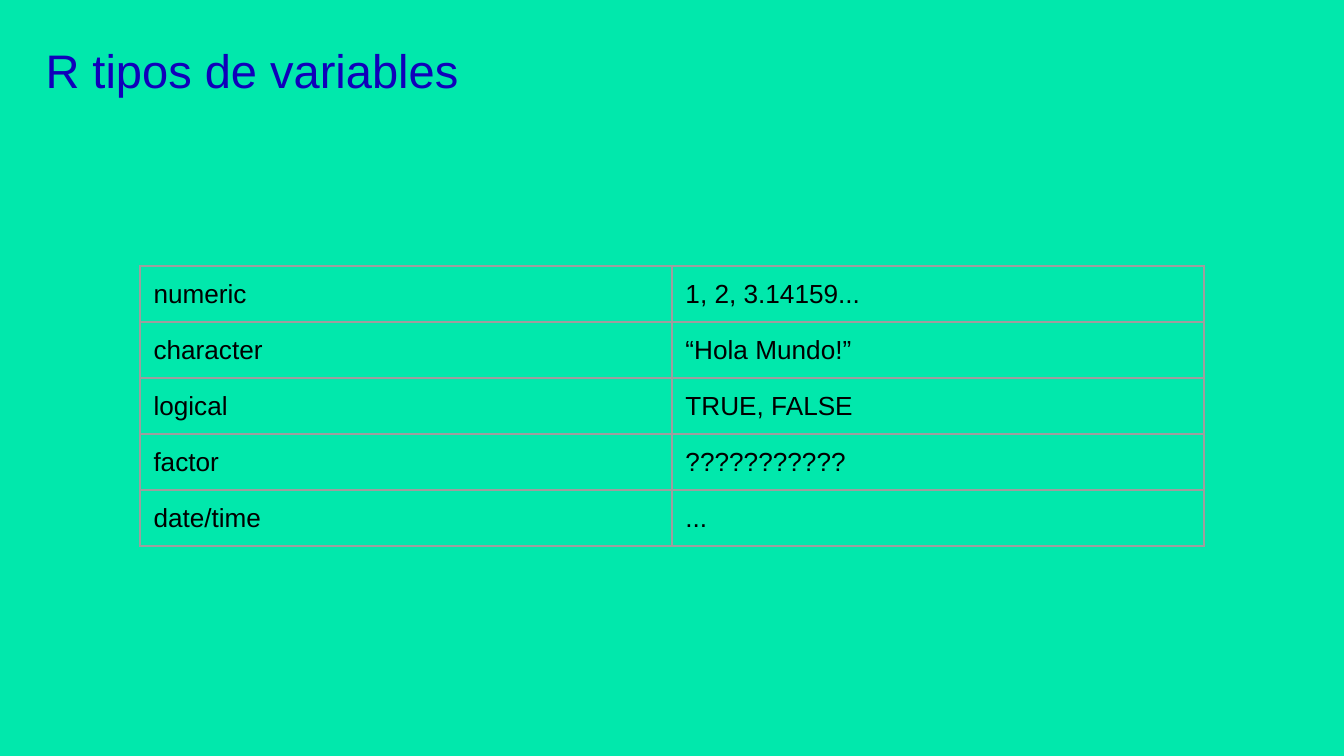
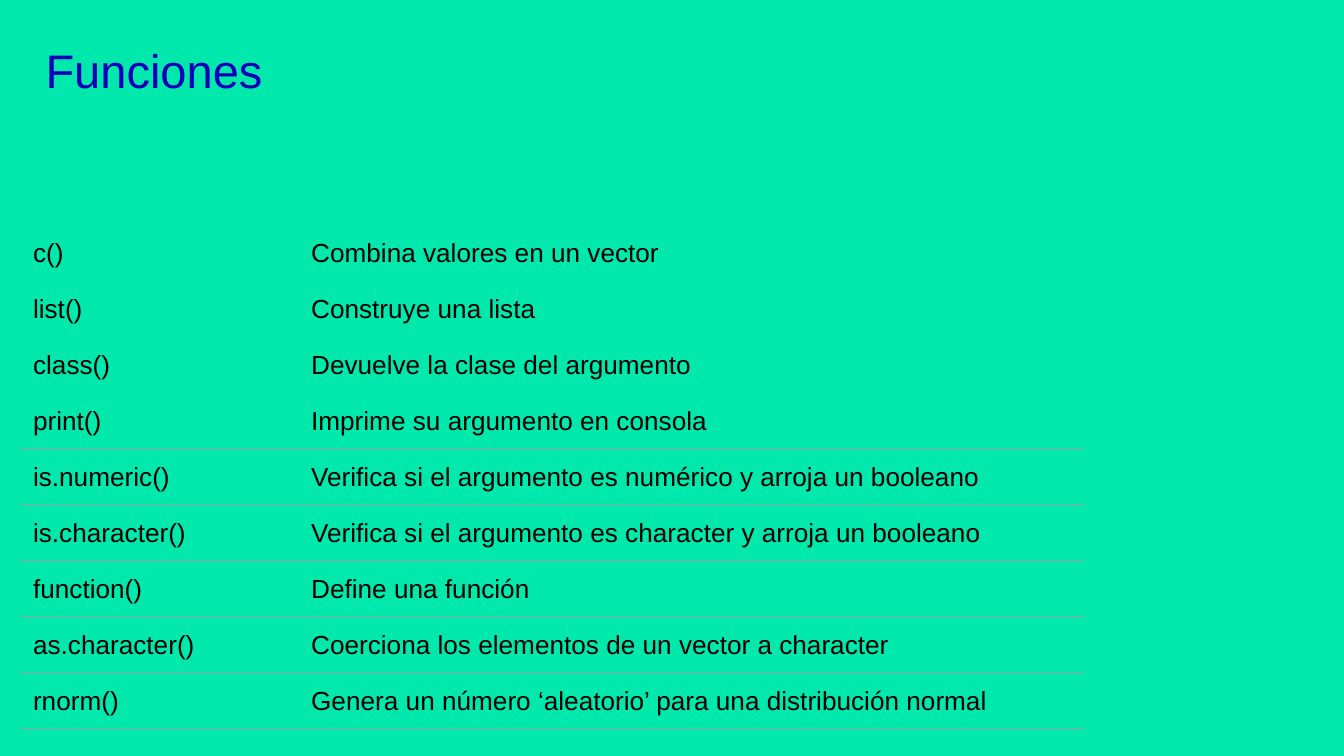
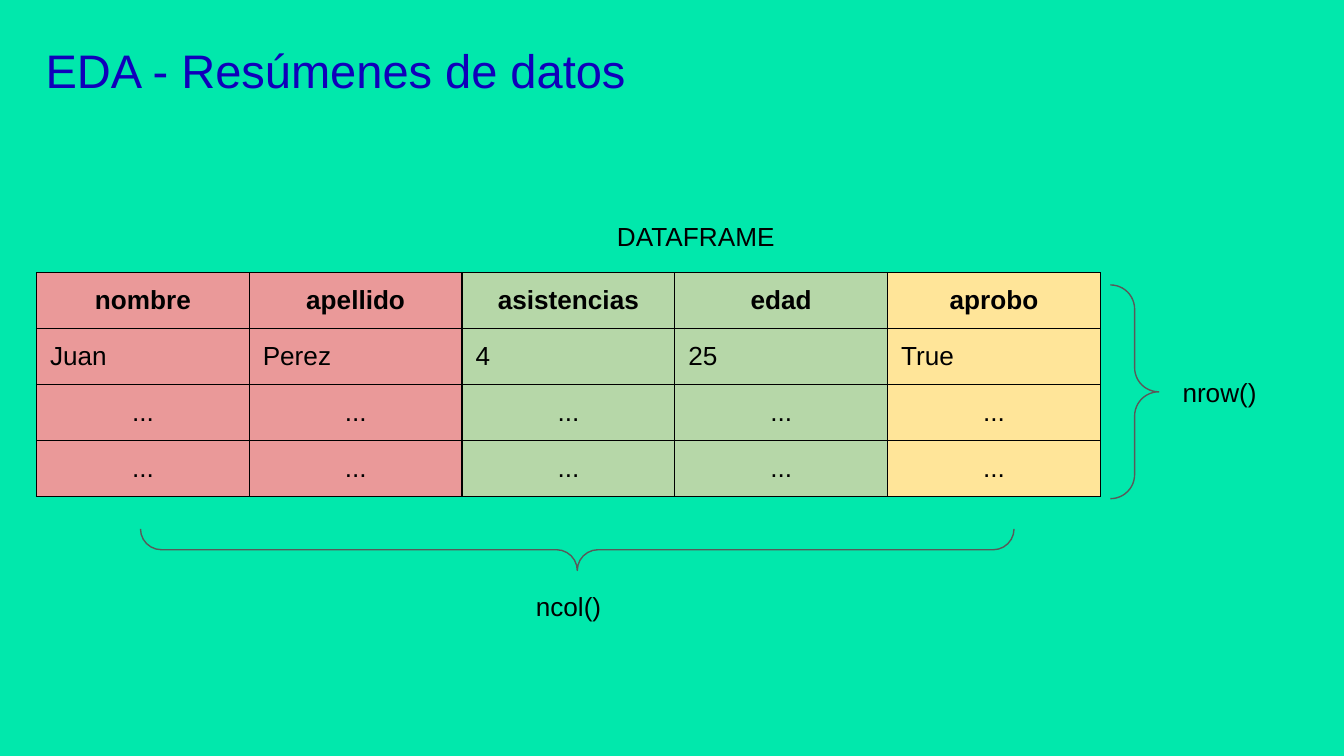
from collections import namedtuple
from lxml.etree import SubElement as Sub
from pptx import Presentation
from pptx.dml.color import RGBColor
from pptx.enum.shapes import MSO_SHAPE as Kind
from pptx.enum.text import MSO_ANCHOR as Anchor, PP_ALIGN as Align
from pptx.oxml.ns import qn
from pptx.util import Inches, Pt

Box = namedtuple("Box", "x y w h")
PAGE = Box(0, 0, Inches(10), Inches(5.625))
WIDE, ROW = 79.17, 7.41
GROUND, TITLE, INK = "01E8AC", "1000BA", "000000"
GREY, DARK = "9E9E9E", "595959"
RED, GREEN, GOLD = "EA9999", "B6D7A8", "FFE599"
BODY = {"name": "Arial", "size": Pt(14), "bold": False}
HEAD = BODY | {"size": Pt(25.2)}
INSET = {"margin_" + side: Inches(0.1) for side in ("left", "right", "top", "bottom")}
CELL = INSET | {"margin_bottom": Inches(0.08), "vertical_anchor": Anchor.TOP}
SIDES = "LRTB"

TYPES = [
    ("numeric", "1, 2, 3.14159..."),
    ("character", "“Hola Mundo!”"),
    ("logical", "TRUE, FALSE"),
    ("factor", "???????????"),
    ("date/time", "..."),
]
CALLS = [
    ("c()", "Combina valores en un vector"),
    ("list()", "Construye una lista"),
    ("class()", "Devuelve la clase del argumento"),
    ("print()", "Imprime su argumento en consola"),
    ("is.numeric()", "Verifica si el argumento es numérico y arroja un booleano"),
    ("is.character()", "Verifica si el argumento es character y arroja un booleano"),
    ("function()", "Define una función"),
    ("as.character()", "Coerciona los elementos de un vector a character"),
    ("rnorm()", "Genera un número ‘aleatorio’ para una distribución normal"),
]
PUPILS = [
    ("nombre", "apellido", "asistencias", "edad", "aprobo"),
    ("Juan", "Perez", "4", "25", "True"),
    ("...",) * 5,
    ("...",) * 5,
]


def tint(code):
    return RGBColor.from_string(code)


def apply(item, values):
    for name, value in values.items():
        setattr(item, name, value)


def share(box, x, y, w, h):
    return Box(
        int(box.x + box.w * x / 100),
        int(box.y + box.h * y / 100),
        int(box.w * w / 100),
        int(box.h * h / 100),
    )


def write(frame, text, font=BODY, color=INK, **para):
    line = frame.paragraphs[0]
    line.text = text
    apply(line, para)
    apply(line.font, font)
    line.font.color.rgb = tint(color)


def label(slide, box, text, font=BODY, color=INK):
    frame = slide.shapes.add_textbox(*box).text_frame
    apply(frame, INSET | {"word_wrap": True, "vertical_anchor": Anchor.TOP})
    write(frame, text, font, color)


def border(cell, color, shown):
    props = cell._tc.get_or_add_tcPr()
    for side in SIDES:
        line = Sub(props, qn("a:ln" + side), w=str(Pt(0.75)))
        if side in shown:
            fill = Sub(line, qn("a:solidFill"))
            Sub(fill, qn("a:srgbClr"), val=color)
        else:
            Sub(line, qn("a:noFill"))


def grid(slide, box, rows, cols, color=GREY, fills=None, edges=lambda row: SIDES, head=False):
    table = slide.shapes.add_table(len(rows), len(cols), *box).table
    apply(table, {"first_row": False, "horz_banding": False})
    for col, part in zip(table.columns, cols):
        col.width = int(box.w * part / sum(cols))
    for r, words in enumerate(rows):
        table.rows[r].height = box.h // len(rows)
        for c, word in enumerate(words):
            cell = table.cell(r, c)
            apply(cell, CELL)
            border(cell, color, edges(r))
            if fills:
                cell.fill.solid()
                cell.fill.fore_color.rgb = tint(fills[c])
            else:
                cell.fill.background()
            top = head and r == 0
            mid = top or (head and word == "...")
            write(cell.text_frame, word, BODY | {"bold": top},
                  alignment=Align.CENTER if mid else Align.LEFT)


def brace(slide, box, kind, turn):
    x, y, w, h = box
    if turn % 180:
        x, y, w, h = x + (w - h) // 2, y + (h - w) // 2, h, w
    shape = slide.shapes.add_shape(kind, x, y, w, h)
    shape.rotation = turn
    shape.shadow.inherit = False
    shape.fill.background()
    shape.line.color.rgb = tint(DARK)
    shape.line.width = Pt(0.75)
    for n in range(2):
        shape.adjustments[n] = 0.5


def start(deck, title):
    slide = deck.slides.add_slide(deck.slide_layouts[6])
    fill = slide.background.fill
    fill.solid()
    fill.fore_color.rgb = tint(GROUND)
    label(slide, share(PAGE, 2.4, 3.73, 82.1, 9.96), title, HEAD, TITLE)
    return slide


def types(slide, box):
    grid(slide, share(box, 10.42, 35.2, WIDE, ROW * len(TYPES)), TYPES, (1, 1))


def calls(slide, box):
    def edges(row):
        return "" if row < 3 else "B" if row == 3 else "TB"

    area = share(box, 1.46, 29.82, WIDE, ROW * len(CALLS))
    grid(slide, area, CALLS, (2.07, 5.85), edges=edges)


def data(slide, box):
    area = share(box, 2.72, 36.07, WIDE, ROW * len(PUPILS))
    grid(slide, area, PUPILS, (1,) * 5, INK, (RED, RED, GREEN, GREEN, GOLD), head=True)
    brace(slide, share(box, 82.62, 37.69, 3.6, 28.27), Kind.LEFT_BRACE, 180)
    brace(slide, share(box, 10.45, 69.96, 65, 5.51), Kind.RIGHT_BRACE, 90)
    for text, x, y, w in (
        ("DATAFRAME", 44.92, 27.38, 15.8),
        ("nrow()", 87, 48, 9.1),
        ("ncol()", 38.88, 76.27, 9.1),
    ):
        label(slide, share(box, x, y, w, 7.82), text)


def main():
    deck = Presentation()
    apply(deck, {"slide_width": PAGE.w, "slide_height": PAGE.h})
    for title, fill in (
        ("R tipos de variables", types),
        ("Funciones", calls),
        ("EDA - Resúmenes de datos", data),
    ):
        fill(start(deck, title), PAGE)
    deck.save("out.pptx")


if __name__ == "__main__":
    main()
